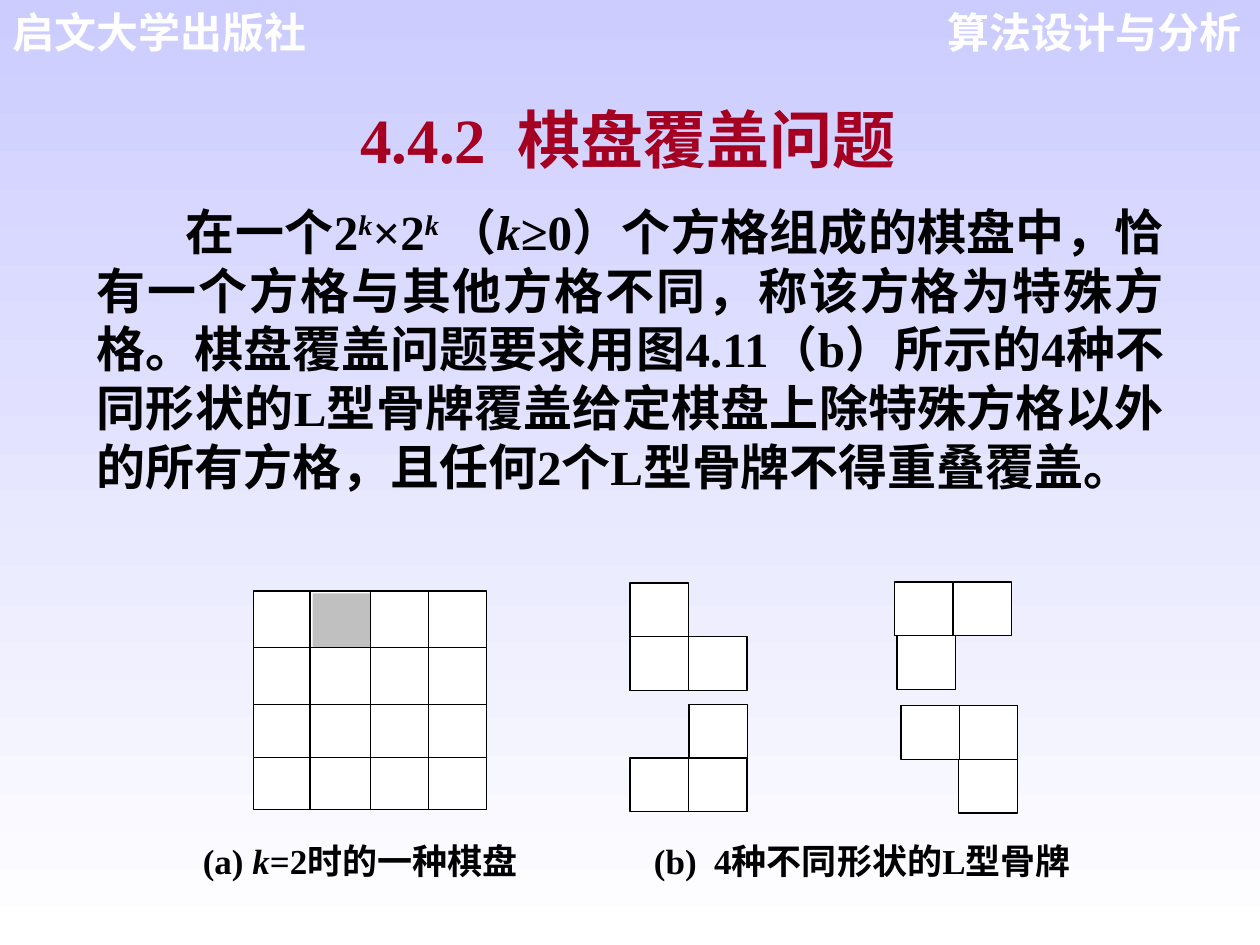
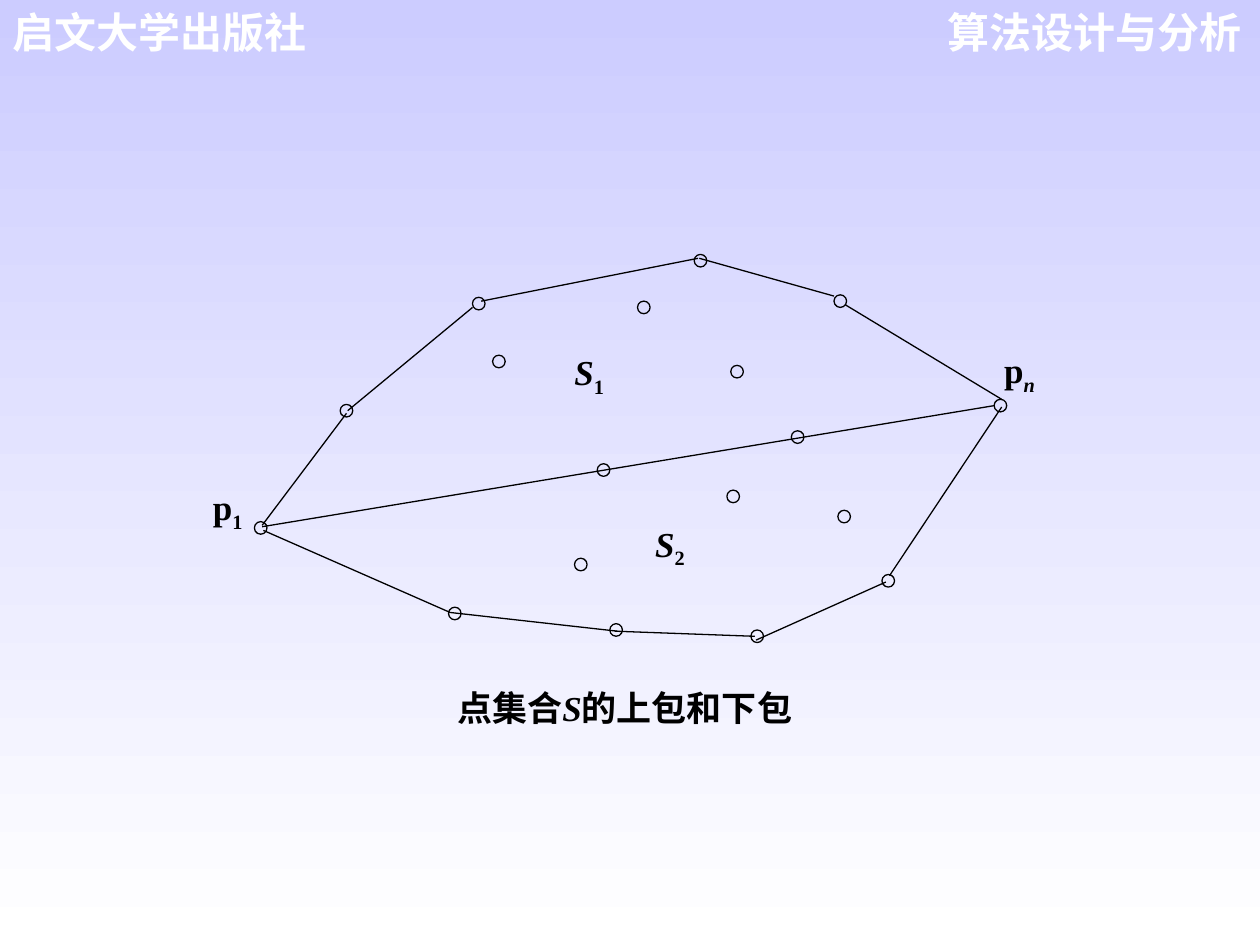
from lxml.etree import SubElement
from pptx import Presentation
from pptx.dml.color import RGBColor
from pptx.enum.shapes import MSO_CONNECTOR, MSO_SHAPE
from pptx.enum.text import MSO_ANCHOR, PP_ALIGN
from pptx.oxml.ns import qn
from pptx.util import Pt

BLACK = RGBColor(0x00, 0x00, 0x00)
WHITE = RGBColor(0xFF, 0xFF, 0xFF)
LAVENDER = RGBColor(0xCC, 0xCC, 0xFF)
CRIMSON = RGBColor(0xA5, 0x00, 0x21)
GRAY = RGBColor(0xC0, 0xC0, 0xC0)
SERIF, SANS, CHINESE = "Times New Roman", "Arial", "Noto Sans CJK SC"
SUPER, SUB = "30000", "-25000"


def write(shape, spans, size, align=PP_ALIGN.JUSTIFY, color=BLACK,
          font=SERIF, inset=(0, 0)):
    """Write one bold paragraph; a span is (text, italic, baseline)."""
    frame = shape.text_frame
    frame.word_wrap = True
    frame.vertical_anchor = MSO_ANCHOR.TOP
    frame.margin_left = frame.margin_right = Pt(inset[0])
    frame.margin_top = frame.margin_bottom = Pt(inset[1])
    para = frame.paragraphs[0]
    para.alignment = align
    para.line_spacing = Pt(size * 1.2)
    for text, italic, baseline in spans:
        span = para.add_run()
        span.text = text
        span.font.size = Pt(size)
        span.font.bold = True
        span.font.italic = italic
        span.font.name = font
        span.font.color.rgb = color
        properties = span.font._element
        SubElement(properties, qn("a:ea"), typeface=CHINESE)
        if baseline:
            properties.set("baseline", baseline)
    return para


def add_outlined(page, kind, frame, fill=None, line=BLACK):
    """Draw a preset shape with a thin outline, or none."""
    shape = page.shapes.add_shape(kind, *[Pt(length) for length in frame])
    shape.shadow.inherit = False
    if fill is None:
        shape.fill.background()
    else:
        shape.fill.solid()
        shape.fill.fore_color.rgb = fill
    if line is None:
        shape.line.fill.background()
    else:
        shape.line.color.rgb = line
        shape.line.width = Pt(0.75)


deck = Presentation()
deck.slide_width, deck.slide_height = Pt(720), Pt(540)

# Shared background, top to bottom
background = deck.slide_master.background.fill
background.gradient()
background.gradient_angle = 270
for stop, color in zip(background.gradient_stops, (LAVENDER, WHITE)):
    stop.color.rgb = color
    stop.position = 0 if color == LAVENDER else 1

board_page = deck.slides.add_slide(deck.slide_layouts[5])
hull_page = deck.slides.add_slide(deck.slide_layouts[6])

# Shared header
for page in (board_page, hull_page):
    for left, text, align in ((521.3, "算法设计与分析", PP_ALIGN.RIGHT),
                              (0, "启文大学出版社", PP_ALIGN.LEFT)):
        box = page.shapes.add_textbox(Pt(left), Pt(0), Pt(195), Pt(36))
        write(box, [(text, False, None)], 24, align, WHITE, SANS, (7.2, 3.6))

# Slide 1: title
title = board_page.shapes.title
title.left, title.top, title.width, title.height = Pt(108), Pt(54), Pt(510), Pt(50.4)
para = write(title, [("4.4.2  ", False, None), ("棋盘覆盖问题 ", False, None)],
             36, PP_ALIGN.CENTER, CRIMSON, SERIF, (7.2, 3.6))
para.runs[1].font.name = CHINESE

# Slide 1: problem statement
statement = [
    ("在一个2", False, None), ("k", True, SUPER),
    ("×2", False, None), ("k ", True, SUPER),
    ("（", False, None), ("k", True, None),
    ("≥0）个方格组成的棋盘中，恰有一个方格与其他方格不同，称该方格为特殊方格。"
     "棋盘覆盖问题要求用图4.11（b）所示的4种不同形状的L型骨牌覆盖给定棋盘上"
     "除特殊方格以外的所有方格，且任何2个L型骨牌不得重叠覆盖。", False, None),
]
box = board_page.shapes.add_textbox(Pt(48.2), Pt(111.6), Pt(624), Pt(208.8))
para = write(box, statement, 28, inset=(7.2, 3.6))
para._p.get_or_add_pPr().set("indent", str(Pt(51)))

# Slide 1: chessboard with its special cell
left, top, right, bottom = 144.7, 337.7, 277.9, 462.5
add_outlined(board_page, MSO_SHAPE.RECTANGLE,
             (left, top, right - left, bottom - top), WHITE)
add_outlined(board_page, MSO_SHAPE.RECTANGLE, (178.6, 339.1, 33.1, 31), GRAY, None)
board_lines = [(x, top, x, bottom) for x in (177.1, 211.7, 244.8)]
board_lines += [(left, y, right, y) for y in (370.1, 402.5, 432.7)]

# Slide 1: four L pieces, each a tall and a wide pair of cells
cell_width, cell_height = 33.4, 30.7
for left, top, tall_left, wide_row in ((360, 333.2, 360, 1), (360, 402.5, 393.8, 1),
                                       (511.2, 332.6, 512.6, 0),
                                       (514.8, 403.2, 547.9, 0)):
    wide_top = top + wide_row * cell_height
    middle = left + cell_width
    add_outlined(board_page, MSO_SHAPE.RECTANGLE,
                 (tall_left, top, cell_width, 2 * cell_height), WHITE)
    add_outlined(board_page, MSO_SHAPE.RECTANGLE,
                 (left, wide_top, 2 * cell_width, cell_height), WHITE)
    board_lines.append((middle, wide_top, middle, wide_top + cell_height))

# Slide 2: points of the set
for left, top in ((145.4, 298.1), (568.1, 228.2), (194.4, 231.1), (281.5, 203),
                  (364.3, 172.1), (270, 169.9), (396.7, 145.4), (476.6, 168.5),
                  (417.6, 208.8), (415.4, 280.1), (328.3, 319), (341.3, 265),
                  (452.2, 246.2), (478.8, 291.6), (504, 328.3), (429.1, 360),
                  (348.5, 356.4), (256.3, 347)):
    add_outlined(hull_page, MSO_SHAPE.OVAL, (left, top, 7.2, 7.2))

# Slide 2: dividing line, upper hull, lower hull
hull_lines = [
    (149.8, 301, 568.1, 231.8),
    (149.8, 300.2, 198, 236.2), (198.7, 234.7, 270, 175.7),
    (275, 172.1, 398.9, 147.6), (399.6, 147.6, 476.6, 169.2),
    (483.1, 174.2, 572.4, 228.2),
    (257, 349.9, 150.5, 303.1), (352.8, 360.7, 256.3, 349.9),
    (431.3, 363.6, 351.4, 360.7), (506.2, 332.6, 432, 365.8),
    (572.4, 232.6, 508.3, 329),
]

# Lines of both figures
for page, lines in ((board_page, board_lines), (hull_page, hull_lines)):
    for ends in lines:
        line = page.shapes.add_connector(MSO_CONNECTOR.STRAIGHT,
                                         *[Pt(length) for length in ends])
        line.line.color.rgb = BLACK
        line.line.width = Pt(0.75)
        SubElement(line._element.spPr, qn("a:effectLst"))

# Captions and point labels
for page, left, top, width, spans in (
    (board_page, 115.9, 479.5, 230,
     [("(a) ", False, None), ("k", True, None), ("=2时的一种棋盘", False, None)]),
    (board_page, 373.7, 479.5, 286, [("(b)  4种不同形状的L型骨牌", False, None)]),
    (hull_page, 261.2, 392.4, 255,
     [("点集合", False, None), ("S", True, None), ("的上包和下包", False, None)]),
    (hull_page, 121.7, 280.8, 25, [("p", False, None), ("1", False, SUB)]),
    (hull_page, 573.8, 202.3, 25, [("p", False, None), ("n", True, SUB)]),
    (hull_page, 328.3, 203.8, 25, [("S", True, None), ("1", False, SUB)]),
    (hull_page, 374.4, 301.7, 25, [("S", True, None), ("2", False, SUB)]),
):
    box = page.shapes.add_textbox(Pt(left), Pt(top), Pt(width), Pt(30))
    write(box, spans, 20)

deck.save("out.pptx")
